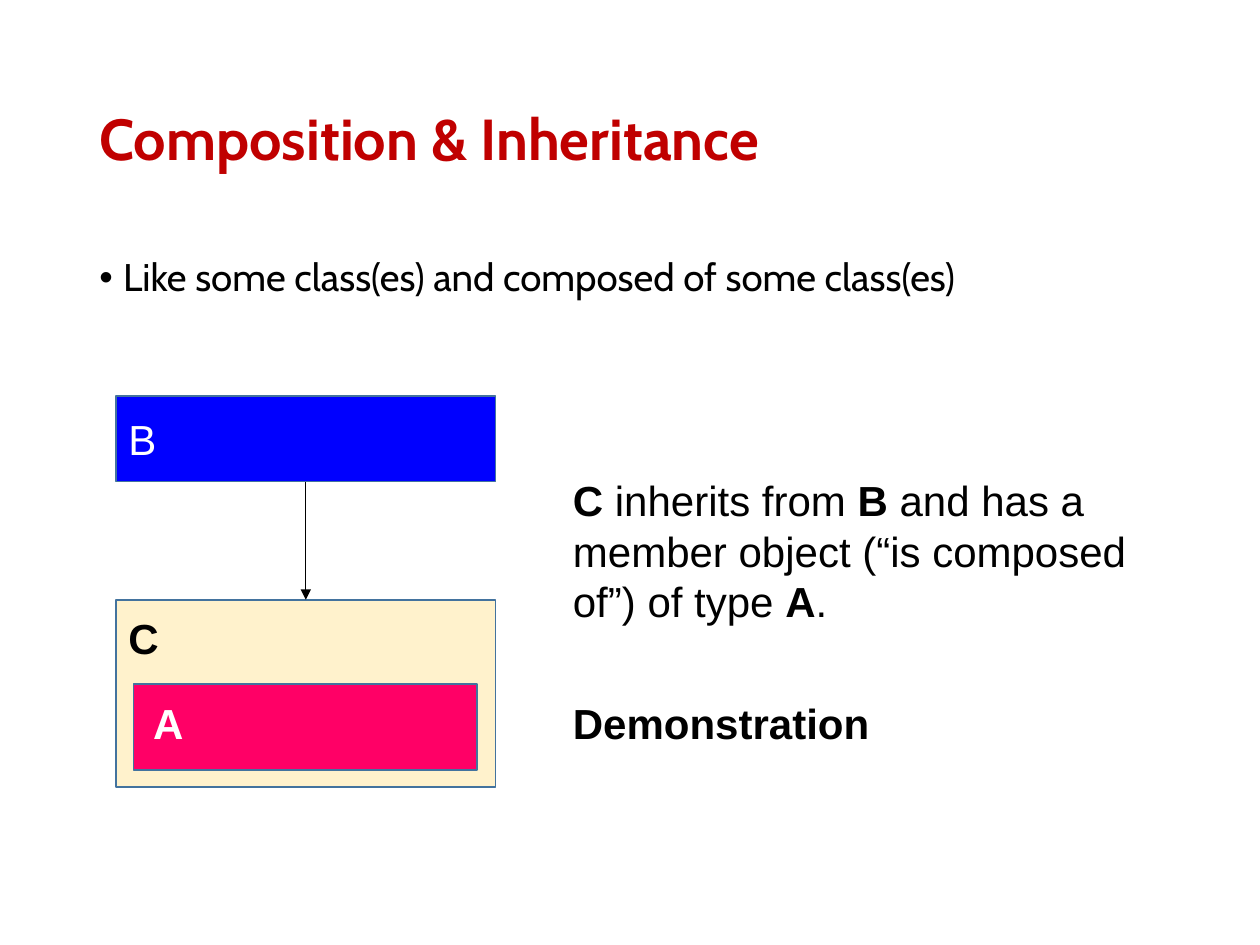
from lxml.etree import SubElement as Sub
from pptx import Presentation
from pptx.dml.color import RGBColor as RGB
from pptx.enum.shapes import MSO_CONNECTOR as Link, MSO_SHAPE as Form
from pptx.enum.text import MSO_ANCHOR as Anchor, MSO_AUTO_SIZE as Auto, PP_ALIGN as Align
from pptx.oxml.ns import qn
from pptx.util import Cm, Pt

RED = RGB(0xC0, 0x00, 0x00)
BLUE = RGB(0x00, 0x00, 0xFF)
CREAM = RGB(0xFF, 0xF2, 0xCC)
PINK = RGB(0xFF, 0x00, 0x66)
EDGE = RGB(0x43, 0x73, 0x9E)
BLACK = RGB(0x00, 0x00, 0x00)
WHITE = RGB(0xFF, 0xFF, 0xFF)


def style(run, color, size=24, bold=False, name="Arial"):
    font = run.font
    font.name, font.size, font.bold = name, Pt(size), bold
    font.color.rgb = color


def fill_holder(holder, text, area, anchor, **look):
    """Move a placeholder, set its text and return the paragraph."""
    holder.left, holder.top, holder.width, holder.height = map(Cm, area)
    frame = holder.text_frame
    frame.text = text
    frame.auto_size = Auto.NONE
    frame.vertical_anchor = anchor
    par = frame.paragraphs[0]
    par.alignment = Align.LEFT
    par.line_spacing = 0.9
    style(par.runs[0], name="Cabin", **look)
    return par


def add_bullet(par):
    par.space_before = Pt(7.5)
    props = par._p.get_or_add_pPr()
    props.set("marL", str(Cm(0.48)))
    props.set("indent", str(-Cm(0.48)))
    Sub(props, qn("a:buFont"), typeface="Arial")
    Sub(props, qn("a:buChar"), char="•")


def add_box(slide, area, color):
    box = slide.shapes.add_shape(Form.RECTANGLE, *map(Cm, area))
    box.shadow.inherit = False
    box.fill.solid()
    box.fill.fore_color.rgb = color
    box.line.color.rgb = EDGE
    box.line.width = Pt(1)
    return box


def add_text(slide, area, parts, color=BLACK, wrap=True):
    """Add a text box; parts are pairs of text and bold."""
    box = slide.shapes.add_textbox(*map(Cm, area))
    frame = box.text_frame
    frame.word_wrap = wrap
    frame.auto_size = Auto.SHAPE_TO_FIT_TEXT
    for text, bold in parts:
        run = frame.paragraphs[0].add_run()
        run.text = text
        style(run, color, bold=bold)


def add_arrow(slide, start, end):
    """Join the bottom of one box to the top of another."""
    arrow = slide.shapes.add_connector(Link.STRAIGHT, 0, 0, 0, 0)
    arrow.begin_connect(start, 2)
    arrow.end_connect(end, 0)
    arrow.line.color.rgb = BLACK
    arrow.line.width = Pt(0.5)
    Sub(arrow.line._get_or_add_ln(), qn("a:tailEnd"), type="triangle")
    Sub(arrow._element.spPr, qn("a:effectLst"))


def main():
    deck = Presentation()
    deck.slide_width, deck.slide_height = Cm(25.4), Cm(19.05)
    slide = deck.slides.add_slide(deck.slide_layouts[1])

    # Title and bullet
    title, body = slide.placeholders
    fill_holder(title, "Composition & Inheritance", (1.75, 1.02, 21.9, 3.68),
                Anchor.MIDDLE, color=RED, size=33, bold=True)
    item = fill_holder(body, "Like some class(es) and composed of some class(es)",
                       (1.75, 5.08, 21.9, 12.09), Anchor.TOP, color=BLACK, size=22)
    add_bullet(item)

    # Class boxes
    base = add_box(slide, (2.34, 7.98, 7.65, 1.73), BLUE)
    frame = base.text_frame
    frame.text = "B"
    frame.vertical_anchor = Anchor.MIDDLE
    frame.paragraphs[0].alignment = Align.LEFT
    style(frame.paragraphs[0].runs[0], WHITE)
    child = add_box(slide, (2.34, 12.09, 7.65, 3.78), CREAM)
    add_box(slide, (2.69, 13.79, 6.93, 1.73), PINK)
    add_arrow(slide, base, child)

    # Labels inside the child class
    add_text(slide, (2.34, 12.22, 1.14, 1.27), [("C", True)], wrap=False)
    add_text(slide, (2.84, 13.94, 1.14, 1.27), [("A", True)], WHITE, wrap=False)

    # Explanation
    add_text(slide, (11.3, 9.45, 12.34, 3.33), [
        ("C ", True), ("inherits from ", False), ("B ", True),
        ("and has a member object (“is composed of”) of type ", False),
        ("A", True), (".", False)])
    add_text(slide, (11.3, 13.94, 12.34, 1.27), [("Demonstration", True)])

    deck.save("out.pptx")


if __name__ == "__main__":
    main()
